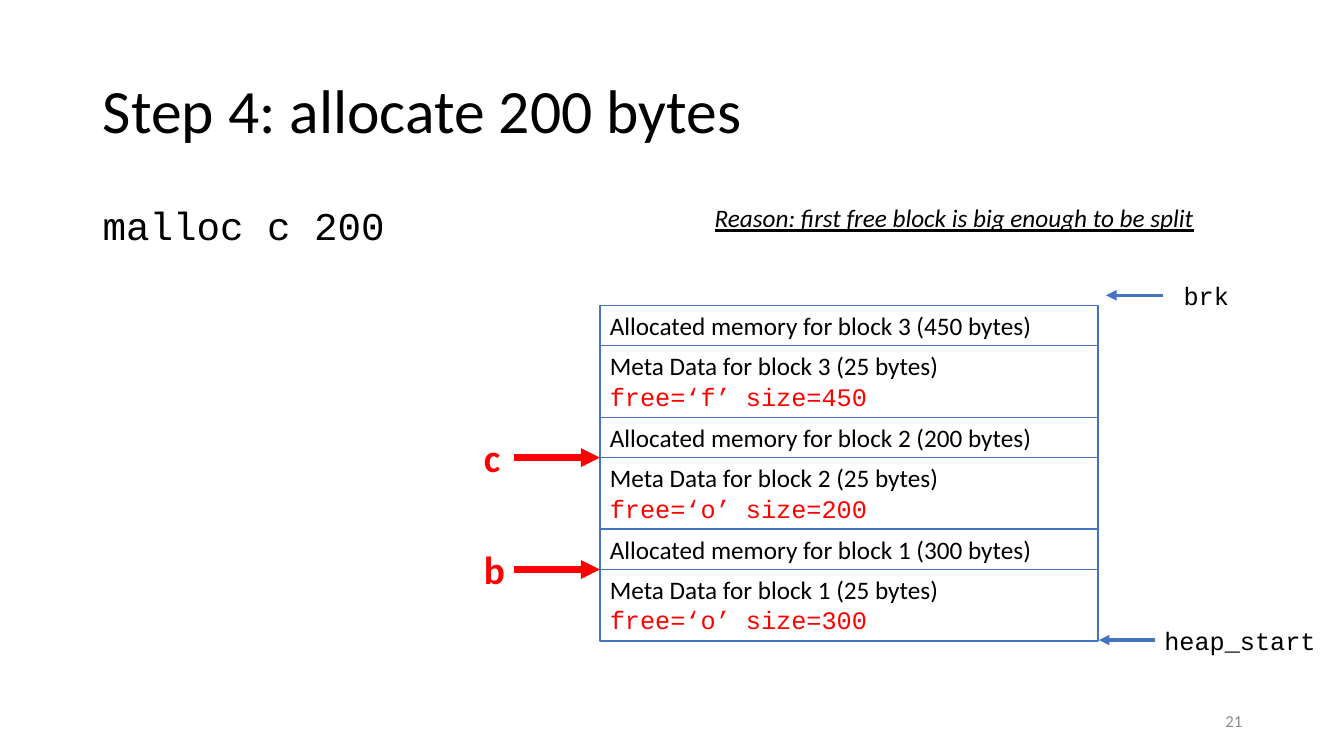
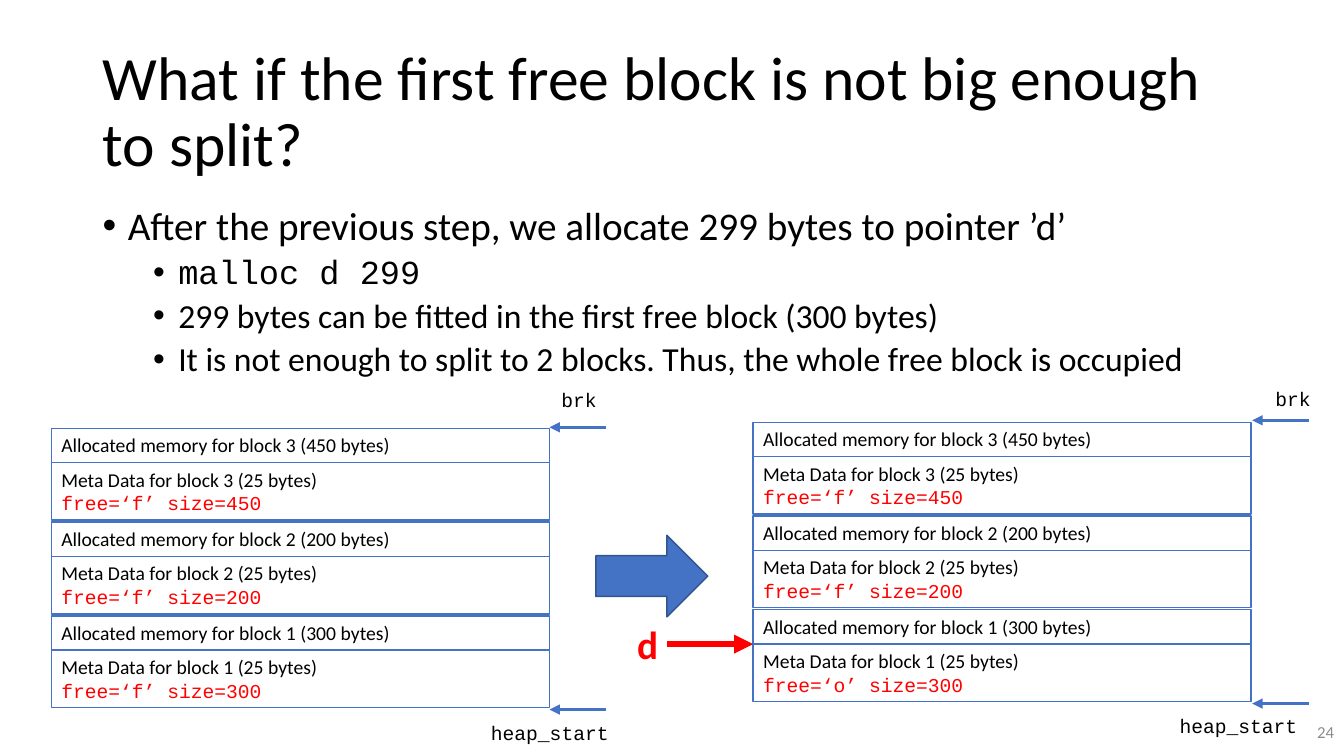
from dataclasses import dataclass

from lxml.etree import SubElement
from pptx import Presentation
from pptx.dml.color import RGBColor
from pptx.enum.shapes import MSO_CONNECTOR, MSO_SHAPE
from pptx.enum.text import MSO_ANCHOR, MSO_AUTO_SIZE, PP_ALIGN
from pptx.oxml.ns import qn
from pptx.presentation import Presentation as Deck
from pptx.slide import Slide
from pptx.text.text import TextFrame, _Paragraph
from pptx.util import Inches, Pt


@dataclass(frozen=True)
class Theme:
    text_font: str = "Calibri"
    code_font: str = "Courier New"
    black: RGBColor = RGBColor(0x00, 0x00, 0x00)
    white: RGBColor = RGBColor(0xFF, 0xFF, 0xFF)
    red: RGBColor = RGBColor(0xFF, 0x00, 0x00)
    blue: RGBColor = RGBColor(0x44, 0x72, 0xC4)
    dark_blue: RGBColor = RGBColor(0x32, 0x54, 0x91)
    gray: RGBColor = RGBColor(0x8C, 0x8C, 0x8C)
    title_size: float = 44
    body_sizes: tuple[float, ...] = (28, 24)
    pointer_size: float = 28
    note_size: float = 18
    number_size: float = 12


THEME = Theme()
TITLE_ONLY = 5
HEAP_WIDTH = 4.94
MARKER_LENGTH = 0.56


@dataclass(frozen=True)
class BodyLine:
    text: str
    level: int = 0
    code: bool = False
    bullet: bool = True


@dataclass(frozen=True)
class Block:
    number: int
    size: int
    state: str
    pointer: str = ""


@dataclass(frozen=True)
class HeapStyle:
    text_size: float
    memory_height: float
    meta_height: float
    pitch: float


@dataclass(frozen=True)
class Marker:
    """A named heap address: label corner and arrow tip."""
    text: str
    label_left: float
    label_top: float
    tip_left: float
    tip_top: float


@dataclass(frozen=True)
class Heap:
    left: float
    top: float
    style: HeapStyle
    blocks: tuple[Block, ...]
    markers: tuple[Marker, ...]


LARGE = HeapStyle(text_size=18, memory_height=0.4, meta_height=0.71, pitch=1.11)
SMALL = HeapStyle(text_size=14, memory_height=0.34, meta_height=0.57, pitch=0.93)

SPLIT_HEAP = Heap(
    5.95, 3.03, LARGE,
    (Block(3, 450, "f"), Block(2, 200, "o", "c"), Block(1, 300, "o", "b")),
    (Marker("brk", 11.64, 2.73, 10.97, 2.93),
     Marker("heap_start", 11.45, 6.15, 10.9, 6.35)),
)
HEAP_BEFORE = Heap(
    0.51, 4.25, SMALL,
    (Block(3, 450, "f"), Block(2, 200, "f"), Block(1, 300, "f")),
    (Marker("brk", 5.47, 3.8, 5.45, 4.24),
     Marker("heap_start", 4.77, 7.1, 5.45, 7.04)),
)
HEAP_AFTER = Heap(
    7.47, 4.19, SMALL,
    (Block(3, 450, "f"), Block(2, 200, "f"), Block(1, 300, "o", "d")),
    (Marker("brk", 12.55, 3.79, 12.42, 4.17),
     Marker("heap_start", 11.6, 7.03, 12.42, 6.98)),
)


def set_font(para: _Paragraph, size: float, color: RGBColor = THEME.black,
             name: str = THEME.text_font) -> None:
    para.font.name = name
    para.font.size = Pt(size)
    para.font.color.rgb = color


def add_text_box(slide: Slide, left: float, top: float, width: float,
                 height: float, wrap: bool = False) -> TextFrame:
    box = slide.shapes.add_textbox(Inches(left), Inches(top),
                                   Inches(width), Inches(height))
    box.text_frame.word_wrap = wrap
    return box.text_frame


def add_label(slide: Slide, text: str, left: float, top: float, width: float,
              height: float) -> _Paragraph:
    para = add_text_box(slide, left, top, width, height).paragraphs[0]
    para.text = text
    return para


def add_arrow(slide: Slide, start_left: float, tip_left: float, top: float,
              color: RGBColor, weight: float) -> None:
    arrow = slide.shapes.add_connector(
        MSO_CONNECTOR.STRAIGHT, Inches(start_left), Inches(top),
        Inches(tip_left), Inches(top))
    arrow.line.color.rgb = color
    arrow.line.width = Pt(weight)
    SubElement(arrow.line._get_or_add_ln(), qn("a:tailEnd"), type="triangle")
    SubElement(arrow._element.spPr, qn("a:effectLst"))


def add_slide(deck: Deck, title_text: str, number: int, number_left: float,
              number_top: float) -> Slide:
    slide = deck.slides.add_slide(deck.slide_layouts[TITLE_ONLY])
    title = slide.shapes.title
    title.left, title.top = Inches(0.92), Inches(0.4)
    title.width, title.height = Inches(11.5), Inches(1.45)
    frame = title.text_frame
    frame.text = title_text
    frame.auto_size = MSO_AUTO_SIZE.NONE
    frame.vertical_anchor = MSO_ANCHOR.MIDDLE
    para = frame.paragraphs[0]
    para.alignment = PP_ALIGN.LEFT
    para.line_spacing = 0.9
    set_font(para, THEME.title_size)

    footer = add_text_box(slide, number_left, number_top, 3, 0.4, wrap=True)
    footer.vertical_anchor = MSO_ANCHOR.MIDDLE
    para = footer.paragraphs[0]
    para.text = str(number)
    para.alignment = PP_ALIGN.RIGHT
    set_font(para, THEME.number_size, THEME.gray)
    return slide


def add_body(slide: Slide, lines: list[BodyLine]) -> None:
    frame = add_text_box(slide, 0.92, 2, 11.5, 4.76, wrap=True)
    for index, line in enumerate(lines):
        para = frame.add_paragraph() if index else frame.paragraphs[0]
        para.text = line.text
        para.level = line.level
        para.line_spacing = 0.9
        if index:
            para.space_before = Pt(5 if line.level else 10)
        if line.bullet:
            properties = para._p.get_or_add_pPr()
            properties.set("marL", str(Inches(0.25 + 0.5 * line.level)))
            properties.set("indent", str(Inches(-0.25)))
            SubElement(properties, qn("a:buFont"), typeface="Arial")
            SubElement(properties, qn("a:buChar"), char="•")
        set_font(para, THEME.body_sizes[line.level],
                 name=THEME.code_font if line.code else THEME.text_font)


def add_cell(slide: Slide, left: float, top: float, height: float,
             size: float, text: str, code: str = "") -> None:
    """Draw one heap rectangle, with an optional red line of code."""
    cell = slide.shapes.add_shape(MSO_SHAPE.RECTANGLE, Inches(left), Inches(top),
                                  Inches(HEAP_WIDTH), Inches(height))
    cell.shadow.inherit = False
    cell.fill.solid()
    cell.fill.fore_color.rgb = THEME.white
    cell.line.color.rgb = THEME.blue
    cell.line.width = Pt(1)
    frame = cell.text_frame
    frame.word_wrap = True
    frame.vertical_anchor = MSO_ANCHOR.TOP
    para = frame.paragraphs[0]
    para.text = text
    para.alignment = PP_ALIGN.LEFT
    set_font(para, size)
    if code:
        para = frame.add_paragraph()
        para.text = code
        para.alignment = PP_ALIGN.LEFT
        set_font(para, size, THEME.red, THEME.code_font)


def add_pointer(slide: Slide, name: str, tip_left: float, top: float) -> None:
    add_arrow(slide, tip_left - 0.85, tip_left, top, THEME.red, 4.5)
    para = add_label(slide, name, tip_left - 1.25, top - 0.29, 0.4, 0.57)
    set_font(para, THEME.pointer_size, THEME.red)
    para.font.bold = True


def add_marker(slide: Slide, marker: Marker, size: float) -> None:
    add_arrow(slide, marker.tip_left + MARKER_LENGTH, marker.tip_left,
              marker.tip_top, THEME.blue, 2.5)
    text_width = len(marker.text) * 0.6 * size / 72
    para = add_label(slide, marker.text, marker.label_left, marker.label_top,
                     text_width + 0.3, 0.34)
    set_font(para, size, name=THEME.code_font)


def add_heap(slide: Slide, heap: Heap) -> None:
    style = heap.style
    for index, block in enumerate(heap.blocks):
        memory_top = heap.top + index * style.pitch
        meta_top = memory_top + style.memory_height
        add_cell(slide, heap.left, meta_top, style.meta_height, style.text_size,
                 f"Meta Data for block {block.number} (25 bytes)",
                 f"free=‘{block.state}’ size={block.size}")
        add_cell(slide, heap.left, memory_top, style.memory_height, style.text_size,
                 f"Allocated memory for block {block.number} ({block.size} bytes)")
    for index, block in enumerate(heap.blocks):
        if block.pointer:
            add_pointer(slide, block.pointer, heap.left,
                        heap.top + index * style.pitch + style.memory_height)
    for marker in heap.markers:
        add_marker(slide, marker, style.text_size)


def add_transition_arrow(slide: Slide) -> None:
    arrow = slide.shapes.add_shape(MSO_SHAPE.RIGHT_ARROW, Inches(5.91),
                                   Inches(5.31), Inches(1.11), Inches(0.81))
    arrow.shadow.inherit = False
    arrow.fill.solid()
    arrow.fill.fore_color.rgb = THEME.blue
    arrow.line.color.rgb = THEME.dark_blue
    arrow.line.width = Pt(1)


def build_split_slide(deck: Deck) -> None:
    slide = add_slide(deck, "Step 4: allocate 200 bytes", 21, 9.42, 6.95)
    add_body(slide, [BodyLine("malloc c 200", code=True, bullet=False)])
    add_heap(slide, SPLIT_HEAP)
    reason = add_label(slide, "Reason: first free block is big enough to be split",
                       6.99, 1.96, 5.06, 0.4)
    set_font(reason, THEME.note_size)
    reason.font.italic = True
    reason.font.underline = True


def build_no_split_slide(deck: Deck) -> None:
    slide = add_slide(deck, "What if the first free block is not big enough to split?",
                      24, 10.33, 7.06)
    add_body(slide, [
        BodyLine("After the previous step, we allocate 299 bytes to pointer ’d’"),
        BodyLine("malloc d 299", level=1, code=True),
        BodyLine("299 bytes can be fitted in the first free block (300 bytes)", level=1),
        BodyLine("It is not enough to split to 2 blocks. "
                 "Thus, the whole free block is occupied", level=1),
    ])
    add_heap(slide, HEAP_BEFORE)
    add_heap(slide, HEAP_AFTER)
    add_transition_arrow(slide)


def main() -> None:
    deck = Presentation()
    deck.slide_width, deck.slide_height = Inches(13.33), Inches(7.5)
    build_split_slide(deck)
    build_no_split_slide(deck)
    deck.save("out.pptx")


if __name__ == "__main__":
    main()
